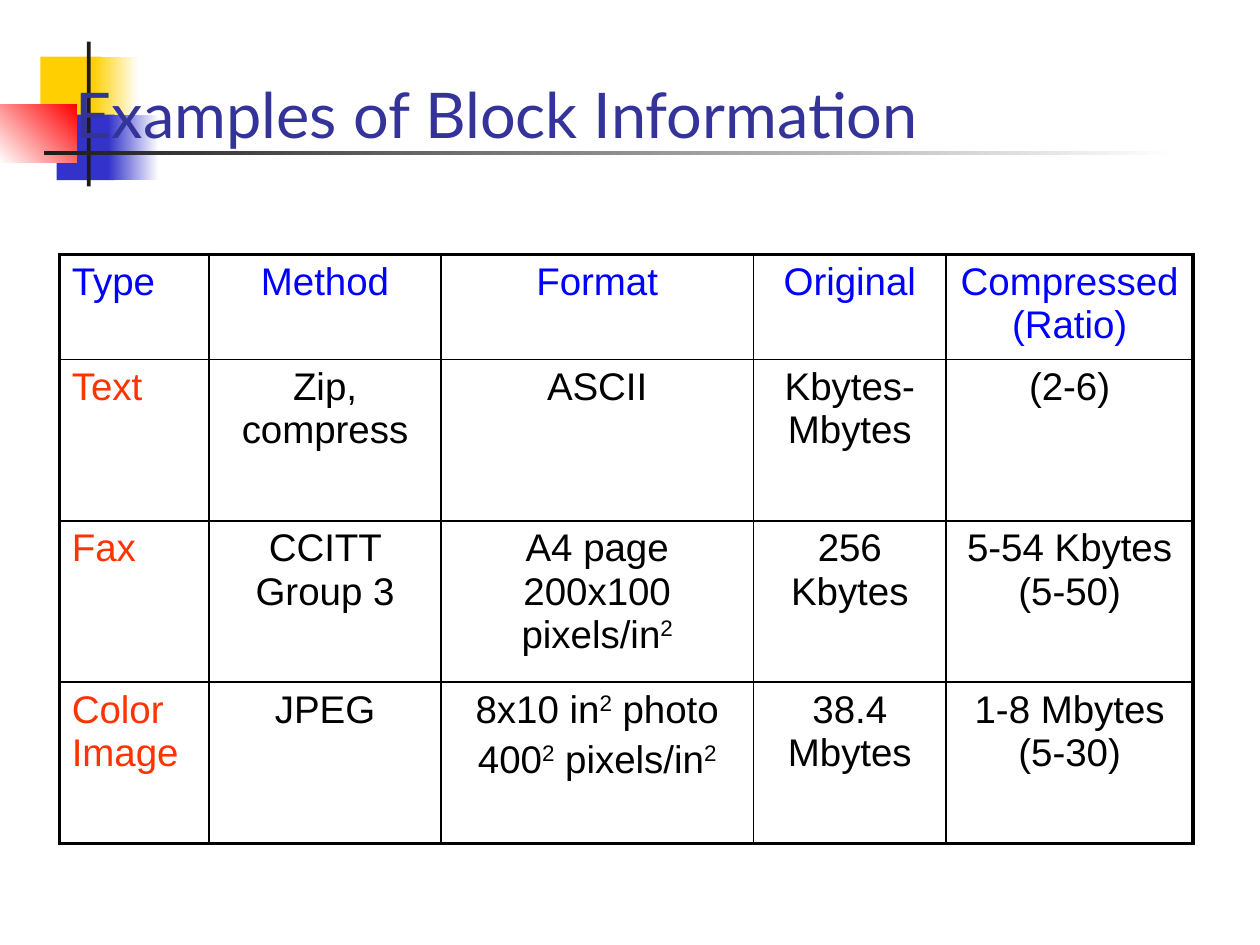
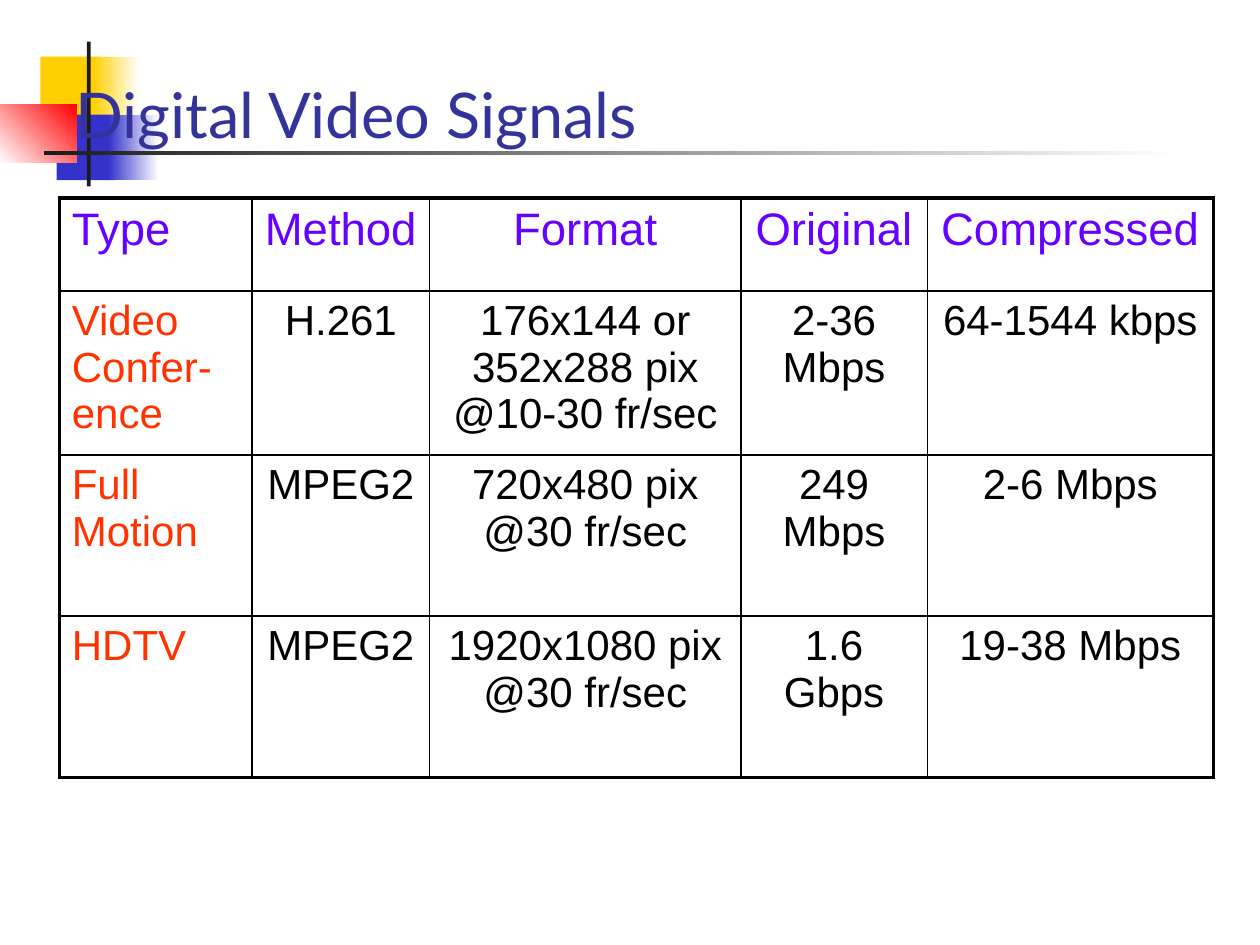
"""Build two slides of compression tables for block information and video."""
import lxml.etree
import pptx
import pptx.dml.color
import pptx.enum.shapes
import pptx.enum.text
import pptx.oxml.ns
import pptx.util

Inches = pptx.util.Inches
Pt = pptx.util.Pt
qn = pptx.oxml.ns.qn

COLORS = {
    "yellow": "FFCF01",
    "blue": "3333CC",
    "red": "FF0000",
    "white": "FFFFFF",
    "dark": "1C1C1C",
    "title": "333399",
    "black": "000000",
    "row label": "FF3300",
    "block header": "0000FF",
    "video header": "6600FF",
}
TITLE_FONT = "Lato"
TABLE_FONT = "Arial"
OUTER_BORDER = 2.25
INNER_BORDER = 1
ROW_HEIGHTS = [0.74, 1.28, 1.28, 1.28]
SUPERSCRIPT_TWO = "²"

BANDS = [
    ((0.32, 0.45, 0.48, 0.52), ["yellow"], 0),
    ((0.74, 0.45, 0.36, 0.52), ["yellow", "white"], 0),
    ((0.45, 0.91, 0.46, 0.52), ["blue"], 0),
    ((0.86, 0.91, 0.4, 0.52), ["blue", "white"], 0),
    ((0, 0.83, 0.61, 0.46), ["white", "red"], 45),
    ((0.69, 0.33, 0.03, 1.15), ["dark"], 0),
    ((0.35, 1.2, 9, 0.03), ["dark", "white"], 0),
]

BLOCK_ROWS = [
    ["Type", "Method", "Format", "Original", "Compressed\v(Ratio)"],
    ["Text", "Zip, compress", "ASCII", "Kbytes- Mbytes", "(2-6)"],
    ["Fax", "CCITT Group 3", "A4 page 200x100 pixels/in²", "256 Kbytes",
     "5-54 Kbytes (5-50)"],
    ["Color Image", "JPEG", "8x10 in² photo\n400² pixels/in²", "38.4 Mbytes",
     "1-8 Mbytes (5-30)"],
]
VIDEO_ROWS = [
    ["Type", "Method", "Format", "Original", "Compressed"],
    ["Video Confer-ence", "H.261", "176x144 or 352x288 pix @10-30 fr/sec",
     "2-36 Mbps", "64-1544 kbps"],
    ["Full Motion", "MPEG2", "720x480 pix @30 fr/sec", "249 Mbps", "2-6 Mbps"],
    ["HDTV", "MPEG2", "1920x1080 pix @30 fr/sec", "1.6 Gbps", "19-38 Mbps"],
]


def rgb(name):
    """Return the named colour."""
    return pptx.dml.color.RGBColor.from_string(COLORS[name])


def style_font(font, name, size, color):
    """Set the typeface, size and colour of a font."""
    font.name = name
    font.size = Pt(size)
    font.color.rgb = rgb(color)


def add_band(slide, box, colors, angle):
    """Add a borderless rectangle with a plain or a two-colour fill."""
    shape = slide.shapes.add_shape(
        pptx.enum.shapes.MSO_SHAPE.RECTANGLE, *map(Inches, box))
    shape.shadow.inherit = False
    shape.line.fill.background()
    if len(colors) == 1:
        shape.fill.solid()
        shape.fill.fore_color.rgb = rgb(colors[0])
        return
    shape.fill.gradient()
    shape.fill.gradient_angle = angle
    for stop, color in zip(shape.fill.gradient_stops, colors):
        stop.color.rgb = rgb(color)


def add_title(slide, text):
    """Add the slide title, resting on the horizontal rule."""
    shape = slide.shapes.add_textbox(
        Inches(0.5), Inches(0.13), Inches(8.25), Inches(1.12))
    text_frame = shape.text_frame
    text_frame.word_wrap = True
    text_frame.vertical_anchor = pptx.enum.text.MSO_ANCHOR.BOTTOM
    text_frame.text = text
    style_font(text_frame.paragraphs[0].runs[0].font, TITLE_FONT, 36, "title")


def raise_twos(paragraph):
    """Split a paragraph so that each squared sign is a superscript run."""
    pieces = paragraph.text.replace(SUPERSCRIPT_TWO, "|2|").split("|")
    paragraph.text = pieces[0]
    for index, piece in enumerate(pieces[1:], start=1):
        if piece:
            run = paragraph.add_run()
            run.text = piece
            if index % 2:
                run.font._element.set("baseline", "30000")


def fill_cell(cell, text, size, color, centered):
    """Write the text of a cell and style its runs."""
    cell.fill.background()
    cell.text_frame.text = text
    for index, paragraph in enumerate(cell.text_frame.paragraphs):
        if SUPERSCRIPT_TWO in paragraph.text:
            raise_twos(paragraph)
        if index:
            paragraph.space_before = Pt(round(size * 0.2))
        if centered:
            paragraph.alignment = pptx.enum.text.PP_ALIGN.CENTER
        for run in paragraph.runs:
            style_font(run.font, TABLE_FONT, size, color)


def set_borders(cell, outer_sides):
    """Draw the four borders of a cell, thicker on the table's outer sides."""
    properties = cell._tc.get_or_add_tcPr()
    for index, side in enumerate("LRTB"):
        width = OUTER_BORDER if side in outer_sides else INNER_BORDER
        line = lxml.etree.Element(qn(f"a:ln{side}"), w=str(Pt(width)))
        solid = lxml.etree.SubElement(line, qn("a:solidFill"))
        lxml.etree.SubElement(solid, qn("a:srgbClr"), val=COLORS["black"])
        properties.insert(index, line)


def add_compression_table(slide, top, widths, rows, header, body_size):
    """Add a ruled table given its header style as (colour, size)."""
    header_color, header_size = header
    frame = slide.shapes.add_table(
        len(rows), len(widths), Inches(0.47), Inches(top),
        Inches(sum(widths)), Inches(sum(ROW_HEIGHTS)))
    table = frame.table
    table.first_row = False
    table.horz_banding = False
    for column, width in zip(table.columns, widths):
        column.width = Inches(width)
    for row, height in zip(table.rows, ROW_HEIGHTS):
        row.height = Inches(height)
    last_row, last_column = len(rows) - 1, len(widths) - 1
    for i, texts in enumerate(rows):
        for j, text in enumerate(texts):
            cell = table.cell(i, j)
            size = body_size if i else header_size
            body_color = "black" if j else "row label"
            fill_cell(cell, text, size, body_color if i else header_color, j > 0)
            at_edge = {"L": j == 0, "R": j == last_column,
                       "T": i == 0, "B": i == last_row}
            set_borders(cell, [side for side in at_edge if at_edge[side]])


def add_titled_slide(presentation, title):
    """Add a blank slide with the shared bands and a title."""
    slide = presentation.slides.add_slide(presentation.slide_layouts[6])
    for box, colors, angle in BANDS:
        add_band(slide, box, colors, angle)
    add_title(slide, title)
    return slide


def main():
    """Build and save the presentation."""
    presentation = pptx.Presentation()
    presentation.slide_width = Inches(10)
    presentation.slide_height = Inches(7.5)
    slide = add_titled_slide(presentation, "Examples of Block Information")
    add_compression_table(slide, 2.02, [1.19, 1.84, 2.48, 1.53, 1.96],
                          BLOCK_ROWS, ("block header", 22), 22)
    slide = add_titled_slide(presentation, "Digital Video Signals")
    add_compression_table(slide, 1.57, [1.53, 1.41, 2.47, 1.48, 2.27],
                          VIDEO_ROWS, ("video header", 26), 24)
    presentation.save("out.pptx")


if __name__ == "__main__":
    main()
